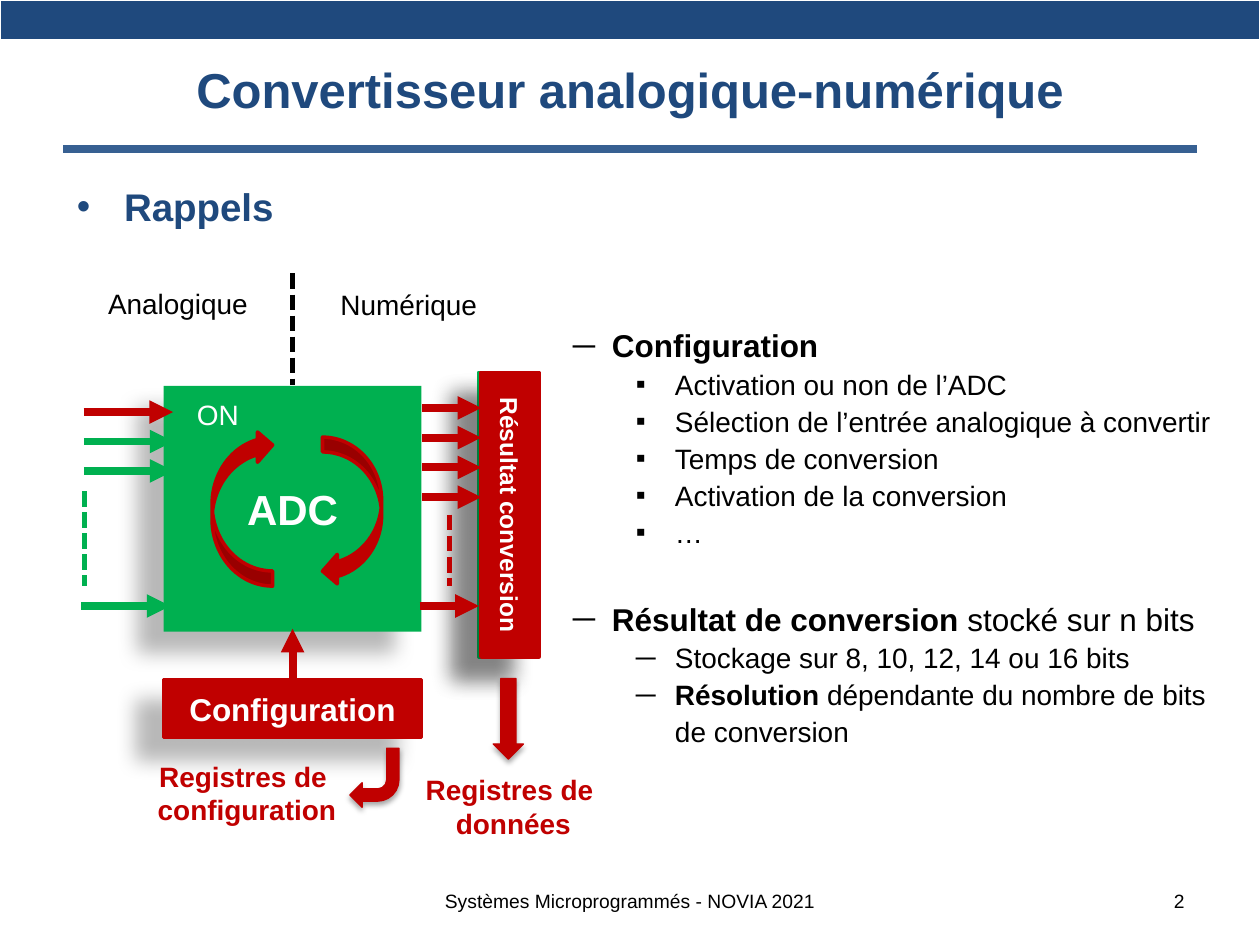
from dataclasses import dataclass

from lxml import etree
from pptx import Presentation
from pptx.dml.color import RGBColor
from pptx.enum import dml, shapes, text
from pptx.oxml import ns
from pptx.util import Pt

KIND = shapes.MSO_SHAPE
ALIGN = text.PP_ALIGN
TOP, MIDDLE = text.MSO_ANCHOR.TOP, text.MSO_ANCHOR.MIDDLE


@dataclass(frozen=True)
class Theme:
    """Colours, font and type sizes of the deck."""
    navy: str = "1F497D"
    rule: str = "376092"
    green: str = "00B050"
    red: str = "C00000"
    black: str = "000000"
    white: str = "FFFFFF"
    font: str = "Arial"
    title: int = 28
    core: int = 24
    heading: int = 22
    topic: int = 18
    body: int = 16
    bar: int = 14
    footer: int = 11
    band: int = 8


THEME = Theme()
DEEP = (28, 11.8, 19.7, 141)
SOFT = (35, 3.1, 1.8, 90)


def child(parent, tag, **attributes):
    """Append a drawing element with the given attributes."""
    values = {key: str(value) for key, value in attributes.items()}
    return etree.SubElement(parent, ns.qn(tag), values)


def place(item, box):
    """Give an item its left, top, width and height in points."""
    item.left, item.top, item.width, item.height = map(Pt, box)


def shift(box, left, top, width, height):
    """Move a box relative to the corner of its region."""
    return box[0] + left, box[1] + top, width, height


def style(para, size, color, bold=False, align=None):
    """Format every run of a paragraph."""
    if align is not None:
        para.alignment = align
    for span in para.runs:
        span.font.name, span.font.size, span.font.bold = THEME.font, Pt(size), bold
        span.font.color.rgb = RGBColor.from_string(color)


def write(item, lines, size, color, bold=False, align=ALIGN.CENTER, anchor=MIDDLE, wrap=True):
    """Fill an item with uniformly formatted lines."""
    frame = item.text_frame
    frame.text = lines
    frame.word_wrap, frame.vertical_anchor = wrap, anchor
    for para in frame.paragraphs:
        style(para, size, color, bold, align)


def label(page, box, lines, size, color, **options):
    """Add a text box."""
    write(page.shapes.add_textbox(*map(Pt, box)), lines, size, color, **options)


def block(page, kind, box, fill, line=0, shadow=None, turn=0):
    """Add a filled preset shape, with an optional outline and shadow."""
    shape = page.shapes.add_shape(kind, *map(Pt, box))
    shape.rotation = turn
    shape.fill.solid()
    shape.fill.fore_color.rgb = RGBColor.from_string(fill)
    if line:
        shape.line.color.rgb = RGBColor.from_string(fill)
        shape.line.width = Pt(line)
    else:
        shape.line.fill.background()
    shape.shadow.inherit = False
    if shadow:
        alpha, blur, distance, angle = shadow
        effects = shape._element.spPr.find(ns.qn("a:effectLst"))
        outer = child(effects, "a:outerShdw", blurRad=Pt(blur), dist=Pt(distance),
                      dir=angle * 60000, algn="ctr", rotWithShape=0)
        child(child(outer, "a:srgbClr", val=THEME.black), "a:alpha", val=alpha * 1000)
    return shape


def line(page, box, start, end, color, width=4.5, dashed=False, arrow=False):
    """Add a straight line between two points of a region."""
    ends = (box[0] + start[0], box[1] + start[1], box[0] + end[0], box[1] + end[1])
    link = page.shapes.add_connector(shapes.MSO_CONNECTOR.STRAIGHT, *map(Pt, ends))
    link.line.color.rgb = RGBColor.from_string(color)
    link.line.width = Pt(width)
    if dashed:
        link.line.dash_style = dml.MSO_LINE.SQUARE_DOT
    if arrow:
        child(link.line._get_or_add_ln(), "a:tailEnd", type="triangle")
    child(link._element.spPr, "a:effectLst")


def bullet(para, mark, margin, hang, spacing, before, color=None):
    """Give a paragraph its spacing, hanging indent and bullet."""
    para.line_spacing, para.space_before = spacing, Pt(before)
    props = para._p.get_or_add_pPr()
    props.set("marL", str(Pt(margin)))
    props.set("indent", str(Pt(-hang)))
    if color:
        child(child(props, "a:buClr"), "a:srgbClr", val=color)
    child(props, "a:buFont", typeface=THEME.font)
    child(props, "a:buChar", char=mark)


def add_band(page, box):
    """Place the one-cell table that forms the top band."""
    band = page.shapes.add_table(1, 1, *map(Pt, box)).table
    band.first_row = band.horz_banding = False
    cell = band.cell(0, 0)
    cell.margin_top = cell.margin_bottom = 0
    cell.fill.solid()
    cell.fill.fore_color.rgb = RGBColor.from_string(THEME.navy)
    child(cell.text_frame.paragraphs[0]._p, "a:endParaRPr", sz=THEME.band * 100)


def add_header(page, box):
    """Place the top band, the title and its rule."""
    left, top, width, height = box
    add_band(page, (left, top, width, 22.5))
    line(page, box, (36, height), (width - 36, height), THEME.rule)
    title = page.shapes.title
    place(title, shift(box, 36, 12, width - 72, 77.8))
    write(title, "Convertisseur analogique-numérique", THEME.title, THEME.navy, bold=True)


def add_heading(holder, box):
    """Place the section heading."""
    place(holder, box)
    write(holder, "Rappels", THEME.heading, THEME.navy, bold=True, align=ALIGN.LEFT, anchor=TOP)
    bullet(holder.text_frame.paragraphs[0], "•", 27, 27, 1.2, 4.4, THEME.navy)


def add_details(holder, box):
    """Place the two-level list of converter features."""
    place(holder, box)
    frame = holder.text_frame
    frame.auto_size = text.MSO_AUTO_SIZE.NONE
    rows = [
        (0, "─", 6, [("Configuration", True)]),
        (1, "▪", 0, [("Activation ou non de l’ADC", False)]),
        (1, "▪", 0, [("Sélection de l’entrée analogique à convertir", False)]),
        (1, "▪", 0, [("Temps de conversion", False)]),
        (1, "▪", 0, [("Activation de la conversion", False)]),
        (1, "▪", 0, [("…", False)]),
        (0, "─", 27, [("Résultat de conversion ", True), ("stocké sur n bits", False)]),
        (1, "─", 0, [("Stockage sur 8, 10, 12, 14 ou 16 bits", False)]),
        (1, "─", 0, [("Résolution", True), (" dépendante du nombre de bits de conversion", False)]),
    ]
    for index, (level, mark, before, spans) in enumerate(rows):
        para = frame.add_paragraph() if index else frame.paragraphs[0]
        para.level = level
        for words, _ in spans:
            para.add_run().text = words
        style(para, THEME.body if level else THEME.topic, THEME.black)
        for span, (_, bold) in zip(para.runs, spans):
            span.font.bold = bold
        bullet(para, mark, 22.3 + 36 * level, 22.3, 1.1, before)


def add_converter(page, box):
    """Draw the converter with its inputs, outputs and registers."""
    for left, color in ((162.8, THEME.green), (164, THEME.red)):
        result = block(page, KIND.RECTANGLE, shift(box, left, 121.3, 162.7, 33.1),
                       color, 2, DEEP, 90)
    write(result, "Résultat conversion", THEME.bar, THEME.white, bold=True)
    core = block(page, KIND.RECTANGLE, shift(box, 47.5, 64.2, 147.4, 140.4), THEME.green, shadow=DEEP)
    write(core, "ADC", THEME.core, THEME.white, bold=True)
    setup = block(page, KIND.RECTANGLE, shift(box, 47.5, 232, 147.4, 33.1), THEME.red, 2, DEEP)
    write(setup, "Configuration", THEME.topic, THEME.white, bold=True)

    outputs = [(195.2, 76.8 + 17 * step) for step in range(4)] + [(193.8, 190)]
    for left, top in outputs:
        line(page, box, (left, top), (left + 33.8, top), THEME.red, arrow=True)
    inputs = [(2, 96, THEME.green), (2, 112.8, THEME.green),
              (0.3, 190, THEME.green), (1.8, 79.2, THEME.red)]
    for left, top, color in inputs:
        line(page, box, (left, top), (left + 51.1, top), color, arrow=True)
    line(page, box, (121.2, 237), (121.2, 203), THEME.red, arrow=True)
    for left, top, bottom, color in ((211, 137.8, 178.8, THEME.red),
                                     (2.2, 124.4, 178.8, THEME.green),
                                     (121.2, 0, 64, THEME.black)):
        line(page, box, (left, top), (left, bottom), color, 3, dashed=True)

    for kind, area, width, shadow, turn in (
            (KIND.CURVED_LEFT_ARROW, (138.3, 93.5, 33.8, 85), 2, None, 0),
            (KIND.CURVED_LEFT_ARROW, (75.2, 89.3, 34.6, 89.3), 2, None, 180),
            (KIND.RIGHT_ARROW, (221.4, 245.8, 46.1, 17.3), 0.75, SOFT, 90),
            (KIND.BENT_ARROW, (153.9, 271.2, 28.1, 33.8), 0.75, SOFT, 180)):
        block(page, kind, shift(box, *area), THEME.red, width, shadow, turn)

    switch = block(page, KIND.RECTANGLE, shift(box, 59.1, 67.6, 38.9, 26.6), THEME.green)
    write(switch, "ON", THEME.body, THEME.white, anchor=TOP, wrap=False)
    for words, area, color, bold in (
            ("Analogique", (8.2, 3.8, 95, 26.6), THEME.black, False),
            ("Numérique", (140.8, 4.6, 93.6, 26.6), THEME.black, False),
            ("Registres de \ndonnées", (189.4, 281.8, 115.9, 46), THEME.red, True),
            ("Registres de \nconfiguration", (36.1, 274.1, 118, 46), THEME.red, True)):
        label(page, shift(box, *area), words, THEME.body, color, bold=bold, anchor=TOP, wrap=False)


def add_footer(page, box):
    """Place the course name and the page number."""
    for words, left, width, align in (
            ("Systèmes Microprogrammés - NOVIA 2021", 167.8, 312.5, ALIGN.CENTER),
            ("2", 480.3, 167.7, ALIGN.RIGHT)):
        label(page, shift(box, left, 0, width, box[3]), words, THEME.footer, THEME.black, align=align)


def main():
    """Build the deck and save it."""
    deck = Presentation()
    deck.slide_width, deck.slide_height = Pt(720), Pt(540)
    page = deck.slides.add_slide(deck.slide_layouts[3])
    add_header(page, (0, 0, 720, 85))
    add_converter(page, (46, 156.3, 305, 328))
    add_details(page.placeholders[2], (320.2, 180.7, 385.2, 253.4))
    add_heading(page.placeholders[1], (36.7, 95.8, 652.3, 74.2))
    add_footer(page, (36, 500.4, 648, 28.8))
    deck.save("out.pptx")


if __name__ == "__main__":
    main()
